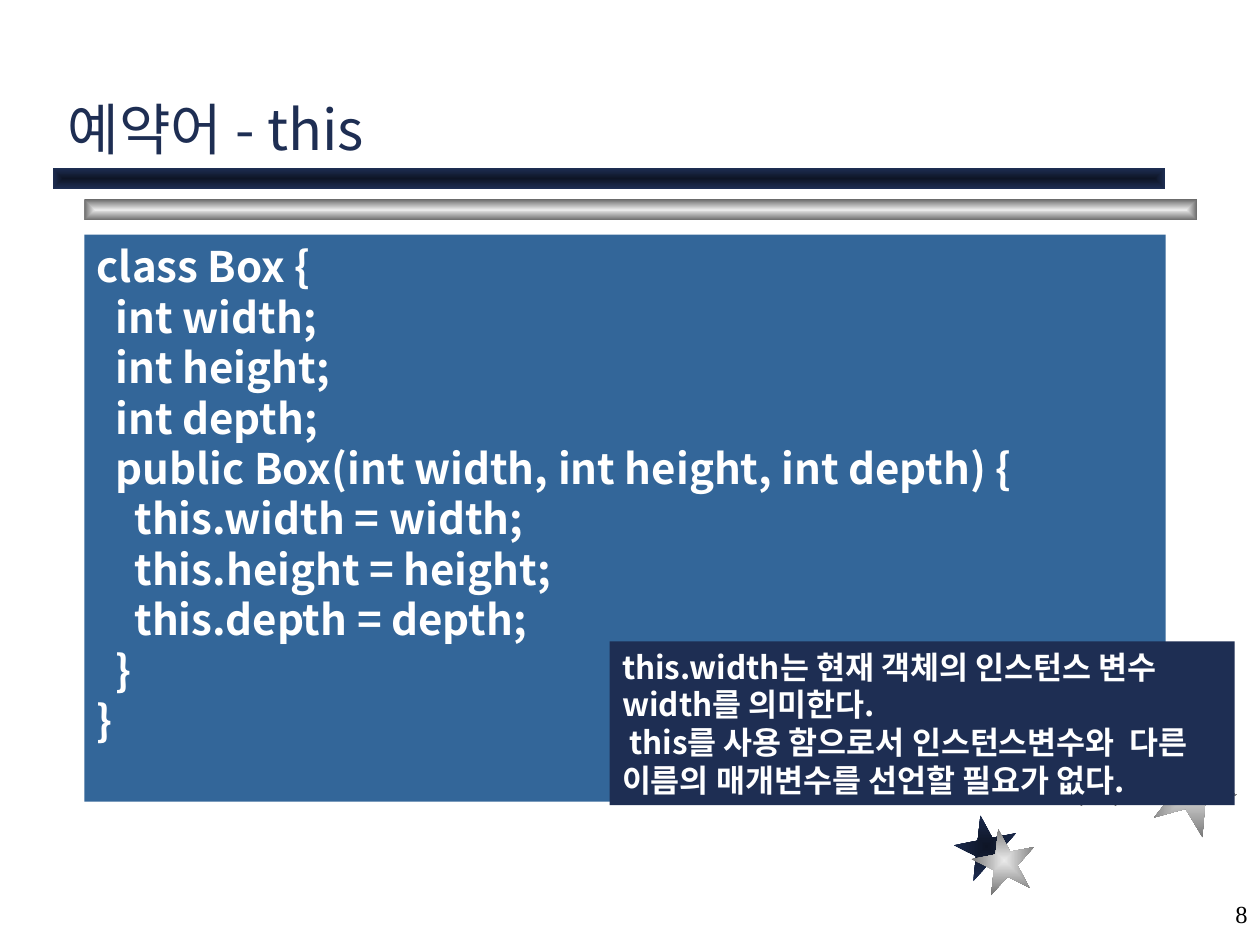
from dataclasses import dataclass

from lxml.etree import SubElement
from pptx import Presentation
from pptx.dml.color import RGBColor
from pptx.enum.shapes import MSO_SHAPE as Preset
from pptx.enum.text import MSO_ANCHOR as Anchor, PP_ALIGN as Align
from pptx.oxml.ns import qn
from pptx.util import Cm, Pt


@dataclass(frozen=True)
class Theme:
    navy: str = "1E2E53"
    blue: str = "336699"
    white: str = "FFFFFF"
    black: str = "000000"
    navy_glow: tuple = ("0E1526", "1E2E53")  # centre, edge
    silver_glow: tuple = ("EAEAEA", "6C6C6C")
    sans: str = "Noto Sans CJK KR"
    serif: str = "Times New Roman"
    title_size: int = 32
    code_size: int = 24
    note_size: int = 18
    number_size: int = 14


theme = Theme()
INDENT = Cm(0.38)  # one level of code

deck = Presentation()
deck.slide_width, deck.slide_height = Cm(25.4), Cm(19.05)
slide = deck.slides.add_slide(deck.slide_layouts[6])


def add_ornament(preset, left, top, width, height, glow, rotation=0):
    """Borderless shape whose colour runs from its centre to its edges."""
    ornament = slide.shapes.add_shape(preset, Cm(left), Cm(top), Cm(width), Cm(height))
    ornament.shadow.inherit = False
    ornament.line.fill.background()
    ornament.rotation = rotation
    ornament.fill.gradient()
    for stop, color, position in zip(ornament.fill.gradient_stops, glow, (0, 1)):
        stop.color.rgb = RGBColor.from_string(color)
        stop.position = position
    gradient = ornament.fill._xPr.find(qn("a:gradFill"))
    gradient.remove(gradient.find(qn("a:lin")))
    from_centre = SubElement(gradient, qn("a:path"), {"path": "rect"})
    SubElement(from_centre, qn("a:fillToRect"), dict.fromkeys("ltrb", "50000"))


def add_text(lines, left, top, width, height, size, color, font=theme.sans,
             bold=False, fill=None, align=Align.LEFT, anchor=Anchor.TOP):
    """Text block; each line is an (indent level, text) pair."""
    area = Cm(left), Cm(top), Cm(width), Cm(height)
    if fill:
        block = slide.shapes.add_shape(Preset.RECTANGLE, *area)
        block.shadow.inherit = False
        block.line.fill.background()
        block.fill.solid()
        block.fill.fore_color.rgb = RGBColor.from_string(fill)
    else:
        block = slide.shapes.add_textbox(*area)
    frame = block.text_frame
    frame.word_wrap = True
    frame.vertical_anchor = anchor
    for number, (level, text) in enumerate(lines):
        paragraph = frame.add_paragraph() if number else frame.paragraphs[0]
        paragraph.alignment = align
        if level:
            paragraph._p.get_or_add_pPr().set("marL", str(level * INDENT))
        run = paragraph.add_run()
        run.text = text
        run.font.name, run.font.size, run.font.bold = font, Pt(size), bold
        run.font.color.rgb = RGBColor.from_string(color)
        SubElement(run._r.get_or_add_rPr(), qn("a:ea"), {"typeface": font})


# Stars in the lower right corner, back to front
stars = [
    (19.25, 16.43, 1.27, theme.navy_glow, 349),
    (23.01, 14.61, 1.7, theme.navy_glow, 22),
    (19.61, 16.71, 1.27, theme.silver_glow, 349),
    (21.56, 15.09, 1.17, theme.silver_glow, 0),
    (23.22, 15.04, 1.7, theme.silver_glow, 22),
]
for left, top, side, glow, rotation in stars:
    add_ornament(Preset.STAR_5_POINT, left, top, side, side, glow, rotation)

# Two offset bars under the title
for left, top, glow in [(1.7, 4.02, theme.silver_glow), (1.06, 3.39, theme.navy_glow)]:
    add_ornament(Preset.RECTANGLE, left, top, 22.43, 0.42, glow)

# Page number and title
add_text([(0, "8")], 20.12, 17.78, 5.28, 1.27, theme.number_size, theme.black,
         font=theme.serif, align=Align.RIGHT, anchor=Anchor.MIDDLE)
add_text([(0, "예약어 - this")], 1.12, 1.52, 22.38, 1.86, theme.title_size,
         theme.navy, anchor=Anchor.BOTTOM)

# Code listing
code = [
    (0, "class Box {"),
    (1, "int width;"),
    (1, "int height;"),
    (1, "int depth;"),
    (1, "public Box(int width, int height, int depth) {"),
    (2, "this.width = width;"),
    (2, "this.height = height;"),
    (2, "this.depth = depth;"),
    (1, "}"),
    (0, "}"),
]
add_text(code, 1.7, 4.73, 21.8, 11.43, theme.code_size, theme.white,
         bold=True, fill=theme.blue)

# Explanation over the corner of the listing
explanation = [
    (0, "this.width는 현재 객체의 인스턴스 변수"),
    (0, "width를 의미한다."),
    (0, " this를 사용 함으로서 인스턴스변수와  다른 이름의 매개변수를 선언할 필요가 없다."),
]
add_text(explanation, 12.29, 12.93, 12.6, 3.3, theme.note_size, theme.white,
         bold=True, fill=theme.navy)

deck.save("out.pptx")
